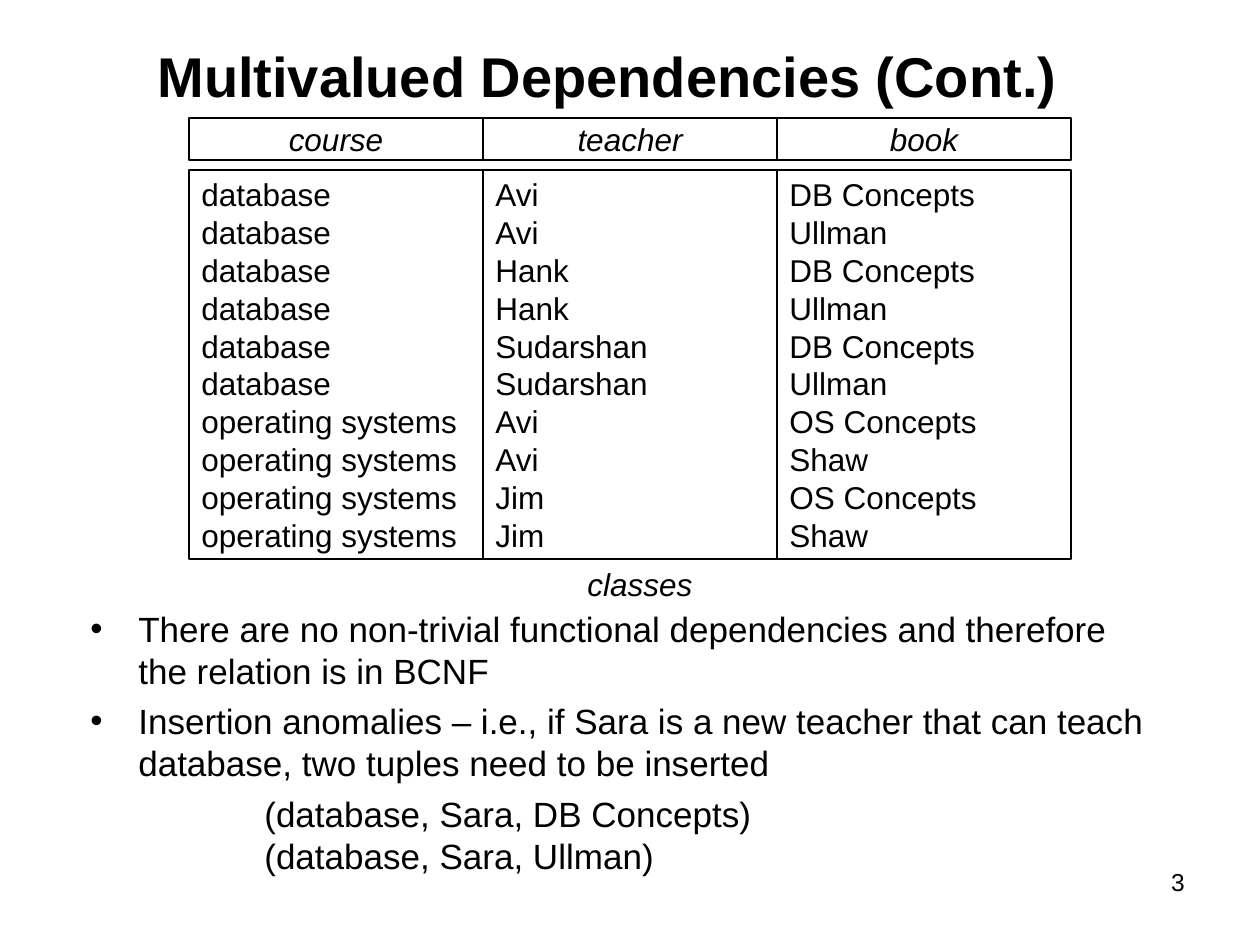
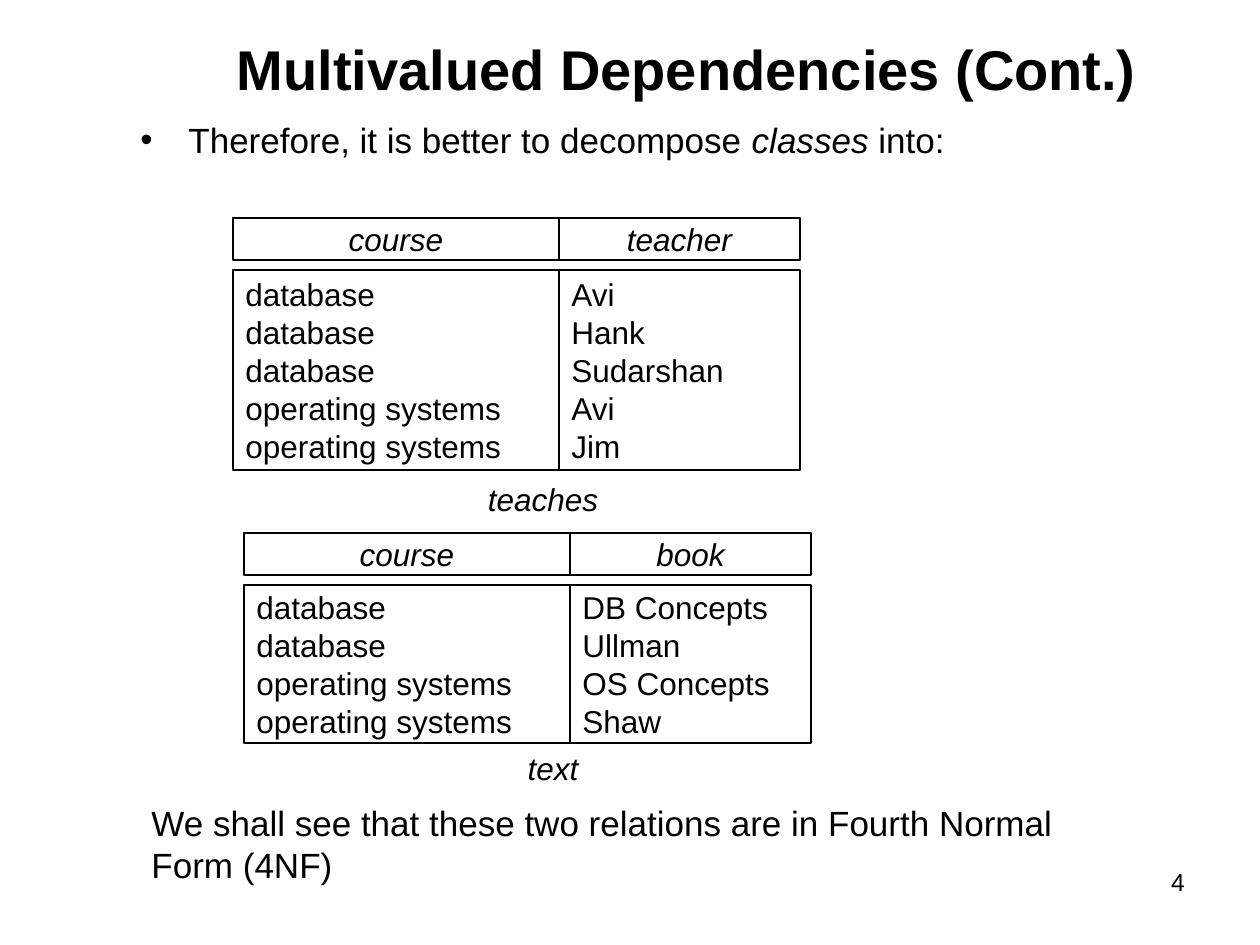
from dataclasses import dataclass

from lxml import etree
from pptx import Presentation
from pptx.dml.color import RGBColor
from pptx.enum.shapes import MSO_SHAPE
from pptx.enum.text import MSO_ANCHOR, PP_ALIGN
from pptx.oxml.ns import qn
from pptx.util import Pt

LEFT, CENTER, RIGHT = PP_ALIGN.LEFT, PP_ALIGN.CENTER, PP_ALIGN.RIGHT
TOP, MIDDLE, BOTTOM = MSO_ANCHOR.TOP, MSO_ANCHOR.MIDDLE, MSO_ANCHOR.BOTTOM
RECTANGLE = MSO_SHAPE.RECTANGLE
EMU_PER_PX = 914400 / 126


@dataclass(frozen=True)
class Theme:
    font: str = "Arial"
    ink: RGBColor = RGBColor(0, 0, 0)
    paper: RGBColor = RGBColor(255, 255, 255)
    title: int = 32
    body: int = 20
    cell: int = 18
    number: int = 14
    line_height: float = 1.2
    paragraph_gap: int = 5
    border: float = 0.75


THEME = Theme()

# Lengths are px; boxes are (left, top, width, height).
PAGE_SIZE = (1260, 945)
NUMBER_BOX = (903, 861, 294, 66)
HEADER_HEIGHT, HEADER_GAP = 42, 10
BULLET_INDENT, EXAMPLE_INDENT = 48, 174
TITLE = "Multivalued Dependencies (Cont.)"

DB, OS = "database", "operating systems"
DB_BOOK, OS_BOOK = "DB Concepts", "OS Concepts"

# Text is a list of (string, italic) spans; "\v" is a line break.
PAGES = [
    {
        "number": 3,
        "title_box": (105, 31, 1005, 84),
        "body_box": (78, 601, 1081, 319),
        "bullets": [
            [("There are no non-trivial functional dependencies and therefore "
              "the relation is in BCNF", False)],
            [("Insertion anomalies – i.e., if Sara is a new teacher that can "
              "teach database, two tuples need to be inserted", False)],
        ],
        "example": "(database, Sara, DB Concepts)\v(database, Sara, Ullman)",
        "relations": [
            {
                "name": "classes",
                "name_box": (570, 559, 140, 50),
                "origin": (189, 118),
                "widths": (294, 294, 294),
                "height": 389,
                "columns": ("course", "teacher", "book"),
                "rows": [
                    (DB, "Avi", DB_BOOK),
                    (DB, "Avi", "Ullman"),
                    (DB, "Hank", DB_BOOK),
                    (DB, "Hank", "Ullman"),
                    (DB, "Sudarshan", DB_BOOK),
                    (DB, "Sudarshan", "Ullman"),
                    (OS, "Avi", OS_BOOK),
                    (OS, "Avi", "Shaw"),
                    (OS, "Jim", OS_BOOK),
                    (OS, "Jim", "Shaw"),
                ],
            },
        ],
    },
    {
        "number": 4,
        "title_box": (196, 21, 982, 87),
        "body_box": (128, 112, 926, 73),
        "bullets": [
            [("Therefore, it is better to decompose ", False),
             ("classes ", True), ("into:", False)],
        ],
        "note": "We shall see that these two relations are in Fourth Normal "
                "Form (4NF)",
        "note_box": (139, 795, 940, 73),
        "relations": [
            {
                "name": "teaches",
                "name_box": (463, 474, 160, 50),
                "origin": (233, 218),
                "widths": (326, 241),
                "height": 200,
                "columns": ("course", "teacher"),
                "rows": [(DB, "Avi"), (DB, "Hank"), (DB, "Sudarshan"),
                         (OS, "Avi"), (OS, "Jim")],
            },
            {
                "name": "text",
                "name_box": (503, 743, 100, 50),
                "origin": (244, 533),
                "widths": (326, 241),
                "height": 158,
                "columns": ("course", "book"),
                "rows": [(DB, DB_BOOK), (DB, "Ullman"),
                         (OS, OS_BOOK), (OS, "Shaw")],
            },
        ],
    },
]


def px(length):
    return round(length * EMU_PER_PX)


def style(para, size, align=LEFT, bold=False, italic=None):
    para.alignment = align
    para.line_spacing = Pt(size * THEME.line_height)
    font = para.font
    font.name, font.size, font.bold, font.italic = THEME.font, Pt(size), bold, italic
    font.color.rgb = THEME.ink


def write_lines(shape, lines, size, align=LEFT, anchor=TOP, **look):
    frame = shape.text_frame
    frame.word_wrap = True
    frame.vertical_anchor = anchor
    frame.text = "\n".join(lines)
    for para in frame.paragraphs:
        style(para, size, align, **look)


def add_text(page, box, line, size, **look):
    shape = page.shapes.add_textbox(*map(px, box))
    write_lines(shape, [line], size, **look)


def add_cell(page, box, lines, **look):
    shape = page.shapes.add_shape(RECTANGLE, *map(px, box))
    shape.shadow.inherit = False
    shape.fill.solid()
    shape.fill.fore_color.rgb = THEME.paper
    shape.line.color.rgb = THEME.ink
    shape.line.width = Pt(THEME.border)
    write_lines(shape, lines, THEME.cell, anchor=MIDDLE, **look)


def add_relation(page, relation):
    """Draw a header row, one tall box of values per column, and the name."""
    left, top = relation["origin"]
    values_top = top + HEADER_HEIGHT + HEADER_GAP
    values_by_column = zip(*relation["rows"])
    for heading, width, values in zip(
            relation["columns"], relation["widths"], values_by_column):
        add_cell(page, (left, top, width, HEADER_HEIGHT), [heading],
                 align=CENTER, italic=True)
        add_cell(page, (left, values_top, width, relation["height"]), values)
        left += width
    add_text(page, relation["name_box"], relation["name"], THEME.cell,
             align=CENTER, anchor=MIDDLE, italic=True)


def indent(para, margin, hanging=0):
    properties = para._p.get_or_add_pPr()
    properties.set("marL", str(px(margin)))
    properties.set("indent", str(-px(hanging)))
    if hanging:
        bullet_font = etree.SubElement(properties, qn("a:buFont"))
        bullet_font.set("typeface", THEME.font)
        etree.SubElement(properties, qn("a:buChar")).set("char", "•")


def add_body(page, content):
    frame = page.shapes.add_textbox(*map(px, content["body_box"])).text_frame
    frame.word_wrap = True
    entries = [(spans, BULLET_INDENT, BULLET_INDENT) for spans in content["bullets"]]
    if "example" in content:
        entries.append(([(content["example"], False)], EXAMPLE_INDENT, 0))
    for index, (spans, margin, hanging) in enumerate(entries):
        para = frame.add_paragraph() if index else frame.paragraphs[0]
        indent(para, margin, hanging)
        style(para, THEME.body)
        if index:
            para.space_before = Pt(THEME.paragraph_gap)
        for words, italic in spans:
            for line_number, line in enumerate(words.split("\v")):
                if line_number:
                    para.add_line_break()
                span = para.add_run()
                span.text = line
                if italic:
                    span.font.italic = True


def add_page(deck, content):
    page = deck.slides.add_slide(deck.slide_layouts[6])
    add_text(page, NUMBER_BOX, str(content["number"]), THEME.number, align=RIGHT)
    add_body(page, content)
    for relation in content["relations"]:
        add_relation(page, relation)
    if "note" in content:
        add_text(page, content["note_box"], content["note"], THEME.body)
    add_text(page, content["title_box"], TITLE, THEME.title,
             align=CENTER, anchor=BOTTOM, bold=True)


def main():
    deck = Presentation()
    deck.slide_width, deck.slide_height = map(px, PAGE_SIZE)
    for content in PAGES:
        add_page(deck, content)
    deck.save("out.pptx")


if __name__ == "__main__":
    main()
